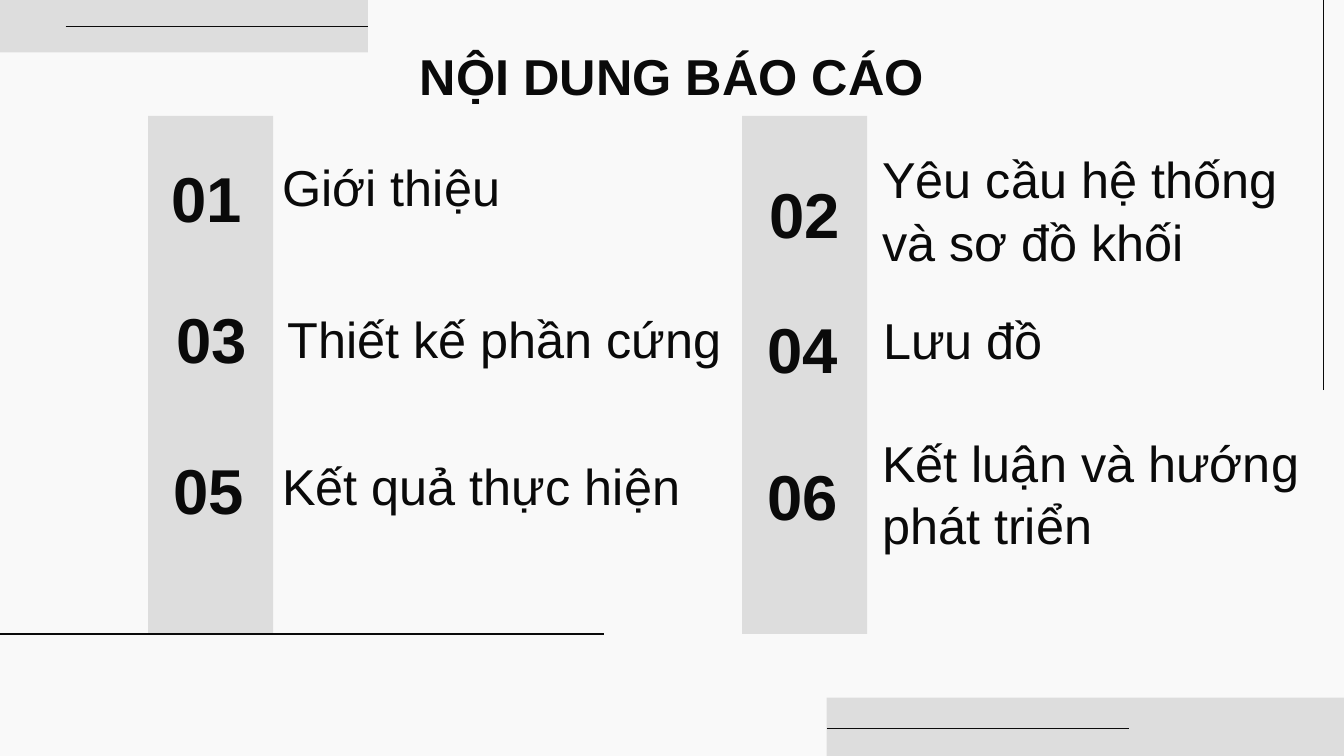
"""Build the contents slide of a report: six numbered topics in two columns."""
from lxml.etree import SubElement
from pptx import Presentation
from pptx.dml.color import RGBColor
from pptx.enum.shapes import MSO_CONNECTOR, MSO_SHAPE
from pptx.enum.text import MSO_ANCHOR, MSO_AUTO_SIZE, PP_ALIGN
from pptx.oxml.ns import qn
from pptx.util import Inches, Pt

HUES = {name: RGBColor.from_string(code) for name, code in
        {"paper": "F9F9F9", "bar": "DDDDDD", "ink": "0A0A0A"}.items()}
COLS, ROWS = 13.33, 7.5

deck = Presentation()
deck.slide_width, deck.slide_height = Inches(COLS), Inches(ROWS)
cell = deck.slide_height / ROWS
slide = deck.slides.add_slide(deck.slide_layouts[5])
slide.background.fill.solid()
slide.background.fill.fore_color.rgb = HUES["paper"]


def grid(*cells):
    """Turn grid cells into slide lengths."""
    return [round(n * cell) for n in cells]


def write(box, text, size, bold, align, anchor, pitch):
    """Fill a text box and format its single paragraph."""
    frame = box.text_frame
    frame.text = text
    frame.word_wrap = True
    frame.auto_size = MSO_AUTO_SIZE.NONE
    frame.vertical_anchor = anchor
    frame.margin_left = frame.margin_right = Inches(0.13)
    frame.margin_top = frame.margin_bottom = Inches(0.13)
    line = frame.paragraphs[0]
    line.alignment = align
    line.line_spacing = pitch
    font = line.runs[0].font
    font.name, font.size, font.bold = "Arial", Pt(size), bold
    font.color.rgb = HUES["ink"]


bars = []
for area in [
    (0, 0, 3.65, 0.52),
    (1.47, 1.15, 1.24, 5.14),
    (7.36, 1.15, 1.24, 5.14),
    (8.2, 6.92, COLS - 8.2, ROWS - 6.92),
]:
    bar = slide.shapes.add_shape(MSO_SHAPE.RECTANGLE, *grid(*area))
    bar.shadow.inherit = False
    bar.fill.solid()
    bar.fill.fore_color.rgb = HUES["bar"]
    bar.line.fill.background()
    bars.append(bar)

rules = []
for ends in [
    (0.65, 0.26, 3.65, 0.26),
    (0, 6.29, 5.99, 6.29),
    (8.2, 7.23, 11.2, 7.23),
    (13.13, 3.87, 13.13, 0),
]:
    rule = slide.shapes.add_connector(MSO_CONNECTOR.STRAIGHT, *grid(*ends))
    rule.line.color.rgb = HUES["ink"]
    rule.line.width = Pt(0.75)
    SubElement(rule.element.spPr, qn("a:effectLst"))
    rules.append(rule)
rules[0].end_connect(bars[0], 3)

title = slide.shapes.title
title.left, title.top, title.width, title.height = grid(1.04, 0.26, 11.25, 0.8)
write(title, "NỘI DUNG BÁO CÁO", 36, True, PP_ALIGN.CENTER, MSO_ANCHOR.TOP, 1.1)

topics = [
    ("Giới thiệu", 1.41, 1.92, 2.67, 2.28),
    ("Yêu cầu hệ thống và sơ đồ khối", 7.34, 2.08, 8.62, 2.82),
    ("Thiết kế phần cứng", 1.46, 3.32, 2.72, 3.79),
    ("Lưu đồ", 7.32, 3.42, 8.63, 3.8),
    ("Kết quả thực hiện", 1.43, 4.82, 2.67, 5.25),
    ("Kết luận và hướng phát triển", 7.32, 4.87, 8.62, 5.63),
]
wide, tall = 1.28, 1.68
span, deep = 4.65, 1.44
for index, (topic, left, middle, start, base) in enumerate(topics, 1):
    badge = slide.shapes.add_textbox(*grid(left, middle - tall / 2, wide, tall))
    write(badge, f"{index:02}", 45.3, True, PP_ALIGN.CENTER, MSO_ANCHOR.MIDDLE, 1.1)
    label = slide.shapes.add_textbox(*grid(start, base - deep, span, deep))
    write(label, topic, 36, False, PP_ALIGN.LEFT, MSO_ANCHOR.BOTTOM, 1.03)

deck.save("out.pptx")
